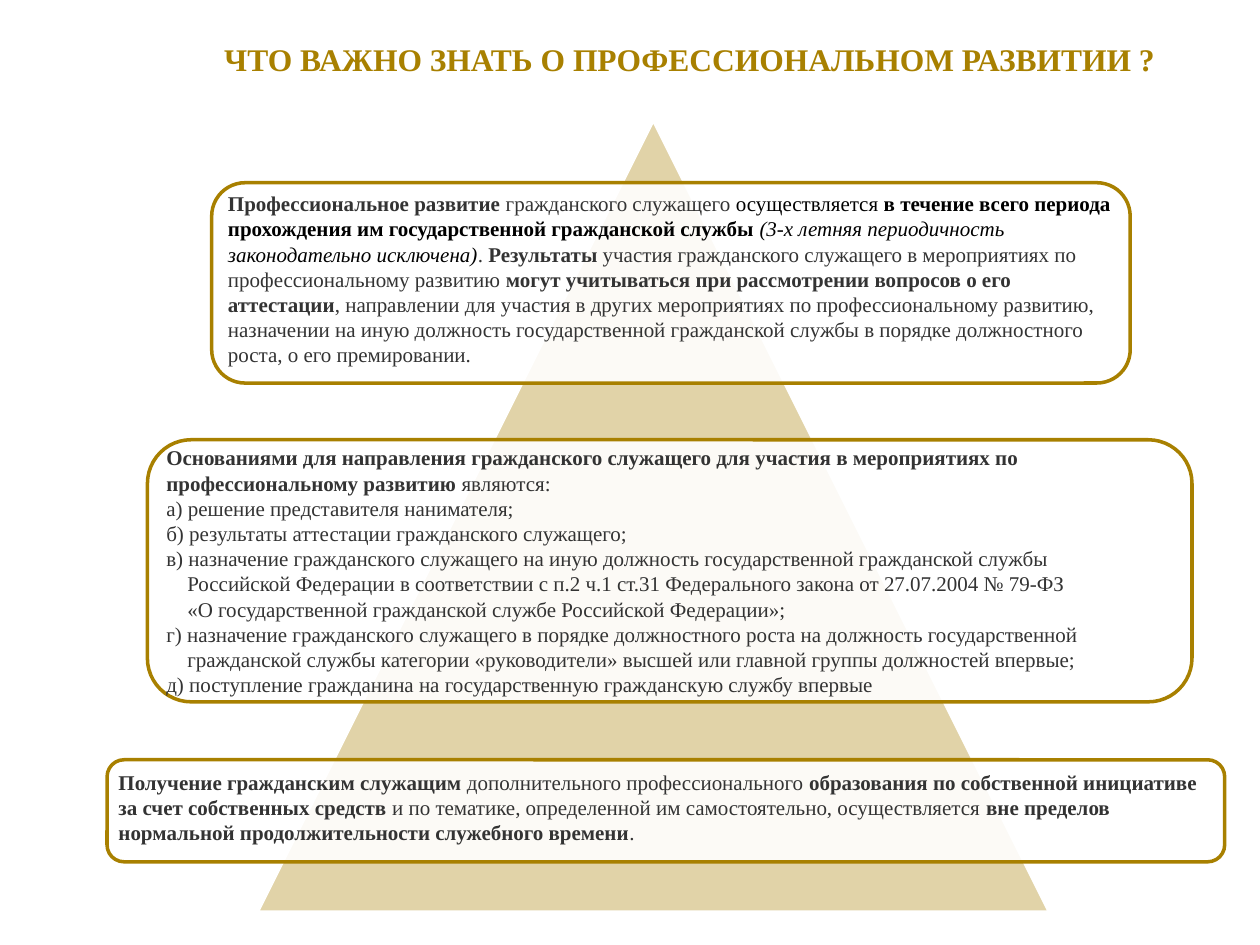
from lxml import etree
from pptx import Presentation
from pptx.dml.color import RGBColor
from pptx.enum.shapes import MSO_SHAPE
from pptx.enum.text import MSO_ANCHOR, PP_ALIGN
from pptx.oxml.ns import qn
from pptx.util import Inches, Pt

TRIANGLE = MSO_SHAPE.ISOSCELES_TRIANGLE
ROUNDED = MSO_SHAPE.ROUNDED_RECTANGLE
TOP, MIDDLE = MSO_ANCHOR.TOP, MSO_ANCHOR.MIDDLE
LEFT, CENTER = PP_ALIGN.LEFT, PP_ALIGN.CENTER

COLORS = {"gold": "A88000", "text": "333333", "black": "000000", "white": "FFFFFF"}
FONT = "Times New Roman"
COLUMNS, ROWS = 100, 75
INDENT = Pt(12)
BOLD = {"bold": True}
BLACK = {"color": "black"}


def rgb(name):
    return RGBColor.from_string(COLORS[name])


def add_run(p, text, size=12, color="text", bold=False, italic=False):
    r = p.add_run()
    r.text = text
    r.font.name = FONT
    r.font.size = Pt(size)
    r.font.bold = bold
    r.font.italic = italic
    r.font.color.rgb = rgb(color)


class Deck:
    def __init__(self, width=10, height=7.5):
        self.prs = Presentation()
        self.prs.slide_width = Inches(width)
        self.prs.slide_height = Inches(height)
        self.s = self.prs.slides.add_slide(self.prs.slide_layouts[6])
        self.group = self.s.shapes.add_group_shape()

    def place(self, col, row, cols, rows):
        x = self.prs.slide_width / COLUMNS
        y = self.prs.slide_height / ROWS
        return [round(v) for v in (col * x, row * y, cols * x, rows * y)]

    def shape(self, kind, box, fill, line, opacity):
        sp = self.group.shapes.add_shape(kind, *self.place(*box))
        sp.shadow.inherit = False
        sp.fill.solid()
        sp.fill.fore_color.rgb = rgb(fill)
        color = sp.fill._xPr.find(qn("a:solidFill"))[0]
        etree.SubElement(color, qn("a:alpha"), val=str(opacity * 1000))
        sp.line.color.rgb = rgb(line)
        sp.line.width = Pt(2)

    def text(self, shapes, box, paragraphs, align=LEFT, anchor=MIDDLE, bottom=0.05):
        sp = shapes.add_textbox(*self.place(*box))
        tf = sp.text_frame
        tf.word_wrap = True
        tf.vertical_anchor = anchor
        tf.margin_left = tf.margin_right = tf.margin_top = Inches(0.05)
        tf.margin_bottom = Inches(bottom)
        for i, (indented, runs) in enumerate(paragraphs):
            p = tf.paragraphs[0] if i == 0 else tf.add_paragraph()
            p.alignment = align
            if indented:
                p._p.get_or_add_pPr().set("marL", str(INDENT))
            for text, style in runs:
                add_run(p, text, **style)

    def title(self, box, text):
        style = {"size": 18, "color": "gold", "bold": True}
        self.text(self.s.shapes, box, [(False, [(text, style)])], CENTER, TOP)

    def panel(self, box, pad, paragraphs, bottom):
        col, row, cols, rows = box
        self.shape(ROUNDED, box, "white", "gold", 90)
        inner = (col + pad, row + pad, cols - 2 * pad, rows - 2 * pad)
        self.text(self.group.shapes, inner, paragraphs, bottom=bottom)


DEVELOPMENT = [(False, [
    ("Профессиональное развитие ", BOLD),
    ("гражданского служащего ", {}),
    ("осуществляется", BLACK),
    (" в течение всего периода прохождения им государственной гражданской службы ",
     BLACK | BOLD),
    ("(3-х летняя периодичность законодательно исключена)", BLACK | {"italic": True}),
    (". ", {}),
    ("Результаты", BOLD),
    (" участия гражданского служащего в мероприятиях по профессиональному развитию ", {}),
    ("могут учитываться при рассмотрении вопросов о его аттестации", BOLD),
    (", направлении для участия в других мероприятиях по профессиональному развитию, "
     "назначении на иную должность государственной гражданской службы в порядке "
     "должностного роста, о его премировании.", {}),
])]

GROUNDS = [(False, [
    ("Основаниями для направления гражданского служащего для участия в мероприятиях "
     "по профессиональному развитию ", BOLD),
    ("являются:", {}),
])] + [(indented, [(text, {})]) for indented, text in (
    (False, "а) решение представителя нанимателя;"),
    (False, "б) результаты аттестации гражданского служащего;"),
    (False, "в) назначение гражданского служащего на иную должность государственной "
            "гражданской службы"),
    (True, "Российской Федерации в соответствии с п.2 ч.1 ст.31 Федерального закона "
           "от 27.07.2004 № 79-ФЗ"),
    (True, "«О государственной гражданской службе Российской Федерации»;"),
    (False, "г) назначение гражданского служащего в порядке должностного роста на "
            "должность государственной"),
    (True, "гражданской службы категории «руководители» высшей или главной группы "
           "должностей впервые;"),
    (False, "д) поступление гражданина на государственную гражданскую службу впервые"),
)]

INITIATIVE = [(False, [
    ("Получение гражданским служащим ", BOLD),
    ("дополнительного профессионального ", {}),
    ("образования по собственной инициативе за счет собственных средств ", BOLD),
    ("и по тематике, определенной им самостоятельно, осуществляется ", {}),
    ("вне пределов нормальной продолжительности служебного времени", BOLD),
    (".", {}),
])]

PANELS = (
    ((16.8, 14.5, 72.9, 15.9), 0.8, DEVELOPMENT, 0.11),
    ((11.7, 34.9, 82.9, 20.8), 1, GROUNDS, 0.05),
    ((8.5, 60.3, 88.7, 8.1), 0.4, INITIATIVE, 0.11),
)


def main():
    deck = Deck()
    deck.title((14.1, 2.7, 81.3, 5.8), "ЧТО ВАЖНО ЗНАТЬ О ПРОФЕССИОНАЛЬНОМ РАЗВИТИИ ?")
    deck.shape(TRIANGLE, (20.4, 9.5, 62.9, 62.9), "gold", "white", 34)
    for panel in PANELS:
        deck.panel(*panel)
    deck.prs.save("out.pptx")


if __name__ == "__main__":
    main()
